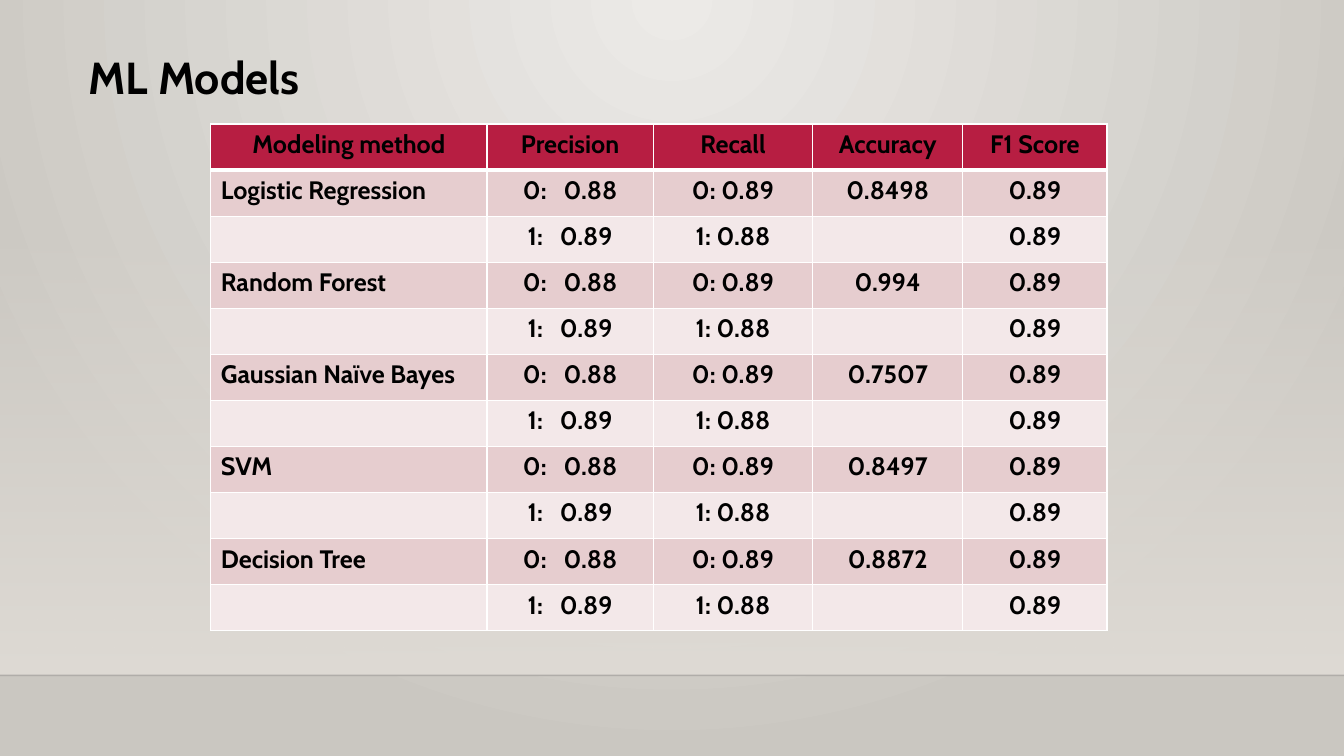
from dataclasses import dataclass

from lxml.etree import SubElement
from pptx import Presentation
from pptx.dml.color import RGBColor
from pptx.enum.shapes import MSO_CONNECTOR, MSO_SHAPE
from pptx.enum.text import MSO_AUTO_SIZE, PP_ALIGN
from pptx.oxml import parse_xml
from pptx.oxml.ns import nsdecls, qn
from pptx.util import Inches, Pt

FONT = "Cabin"
WIDE, HIGH = 13.33, 7.5
FLOOR = 6.7
HEADS = ["Modeling method", "Precision", "Recall", "Accuracy", "F1 Score"]
COLS = [2.74, 1.65, 1.58, 1.49, 1.43]
ROW = 5.03 / 11


@dataclass
class Model:
    name: str
    score: str


MODELS = [
    Model("Logistic Regression", "0.8498"),
    Model("Random Forest", "0.994"),
    Model("Gaussian Naïve Bayes", "0.7507"),
    Model("SVM", "0.8497"),
    Model("Decision Tree", "0.8872"),
]


def color(code: str) -> RGBColor:
    return RGBColor.from_string(code)


def write(frame, text: str, *, size: float = 18, tint: str = "000000",
          bold: bool = True, align=PP_ALIGN.LEFT) -> None:
    para = frame.paragraphs[0]
    para.alignment = align
    run = para.add_run()
    run.text = text
    run.font.name = FONT
    run.font.size = Pt(size)
    run.font.bold = bold
    run.font.color.rgb = color(tint)


def blend(holder, start: str, end: str, shape: str, alpha: int = 100) -> None:
    """Replace the solid fill in holder with a two-stop gradient."""
    old = holder.find(qn("a:solidFill"))
    new = parse_xml(
        f'<a:gradFill rotWithShape="1" {nsdecls("a")}><a:gsLst>'
        f'<a:gs pos="0"><a:srgbClr val="{start}"><a:alpha val="{alpha * 1000}"/></a:srgbClr></a:gs>'
        f'<a:gs pos="100000"><a:srgbClr val="{end}"/></a:gs>'
        f'</a:gsLst>{shape}</a:gradFill>')
    holder.replace(old, new)


def border(cell, under: float) -> None:
    props = cell._tc.get_or_add_tcPr()
    for spot, (side, width) in enumerate([("L", 1), ("R", 1), ("T", 1), ("B", under)]):
        props.insert(spot, parse_xml(
            f'<a:ln{side} w="{Pt(width)}" {nsdecls("a")}><a:solidFill>'
            f'<a:srgbClr val="FFFFFF"/></a:solidFill></a:ln{side}>'))


def backdrop(slide) -> None:
    # Round glow from the top centre
    slide.background.fill.solid()
    slide.background.fill.fore_color.rgb = color("ECEAE7")
    blend(slide.element.find(".//" + qn("p:bgPr")), "ECEAE7", "CAC7C1",
          '<a:path path="circle"><a:fillToRect l="43000" t="0" r="43000" b="100000"/></a:path>')

    # Wall that fades in towards the floor
    wall = slide.shapes.add_shape(
        MSO_SHAPE.RECTANGLE, 0, Inches(2.21), Inches(WIDE), Inches(FLOOR - 2.21))
    wall.shadow.inherit = False
    wall.line.fill.background()
    wall.fill.solid()
    wall.fill.fore_color.rgb = color("DFDBD5")
    blend(wall.element.spPr, "DFDBD5", "DFDBD5", '<a:lin ang="5400000" scaled="0"/>', 0)

    # Floor edge
    edge = slide.shapes.add_connector(
        MSO_CONNECTOR.STRAIGHT, 0, Inches(FLOOR), Inches(WIDE), Inches(FLOOR))
    edge.line.width = Pt(1)
    edge.line.color.rgb = color("000001")
    props = edge._element.spPr
    SubElement(props.find(".//" + qn("a:srgbClr")), qn("a:alpha")).set("val", "20000")
    SubElement(props, qn("a:effectLst"))


def scores(slide) -> None:
    # Two rows for each model: class 0, then class 1
    rows = [HEADS]
    for model in MODELS:
        rows.append([model.name, "0:   0.88", "0: 0.89", model.score, "0.89"])
        rows.append(["", "1:   0.89", "1: 0.88", "", "0.89"])

    table = slide.shapes.add_table(
        len(rows), len(COLS), Inches(2.09), Inches(1.23),
        Inches(sum(COLS)), Inches(ROW * len(rows))).table
    table.first_row = table.horz_banding = False
    for col, width in zip(table.columns, COLS):
        col.width = Inches(width)
    for r, texts in enumerate(rows):
        table.rows[r].height = Inches(ROW)
        fill = "B71E42" if r == 0 else "E6CDCF" if r % 2 else "F3E8E9"
        for c, text in enumerate(texts):
            cell = table.cell(r, c)
            cell.fill.solid()
            cell.fill.fore_color.rgb = color(fill)
            border(cell, 1 if r else 3)
            if text:
                left = r > 0 and c == 0
                write(cell.text_frame, text,
                      align=PP_ALIGN.LEFT if left else PP_ALIGN.CENTER)


def title(slide) -> None:
    box = slide.shapes.add_textbox(Inches(0.78), Inches(0.44), Inches(6.61), Inches(0.64))
    box.text_frame.word_wrap = True
    box.text_frame.auto_size = MSO_AUTO_SIZE.SHAPE_TO_FIT_TEXT
    write(box.text_frame, "ML Models", size=32)


def main() -> None:
    deck = Presentation()
    deck.slide_width, deck.slide_height = Inches(WIDE), Inches(HIGH)
    slide = deck.slides.add_slide(deck.slide_layouts[6])
    backdrop(slide)
    scores(slide)
    title(slide)
    deck.save("out.pptx")


if __name__ == "__main__":
    main()
